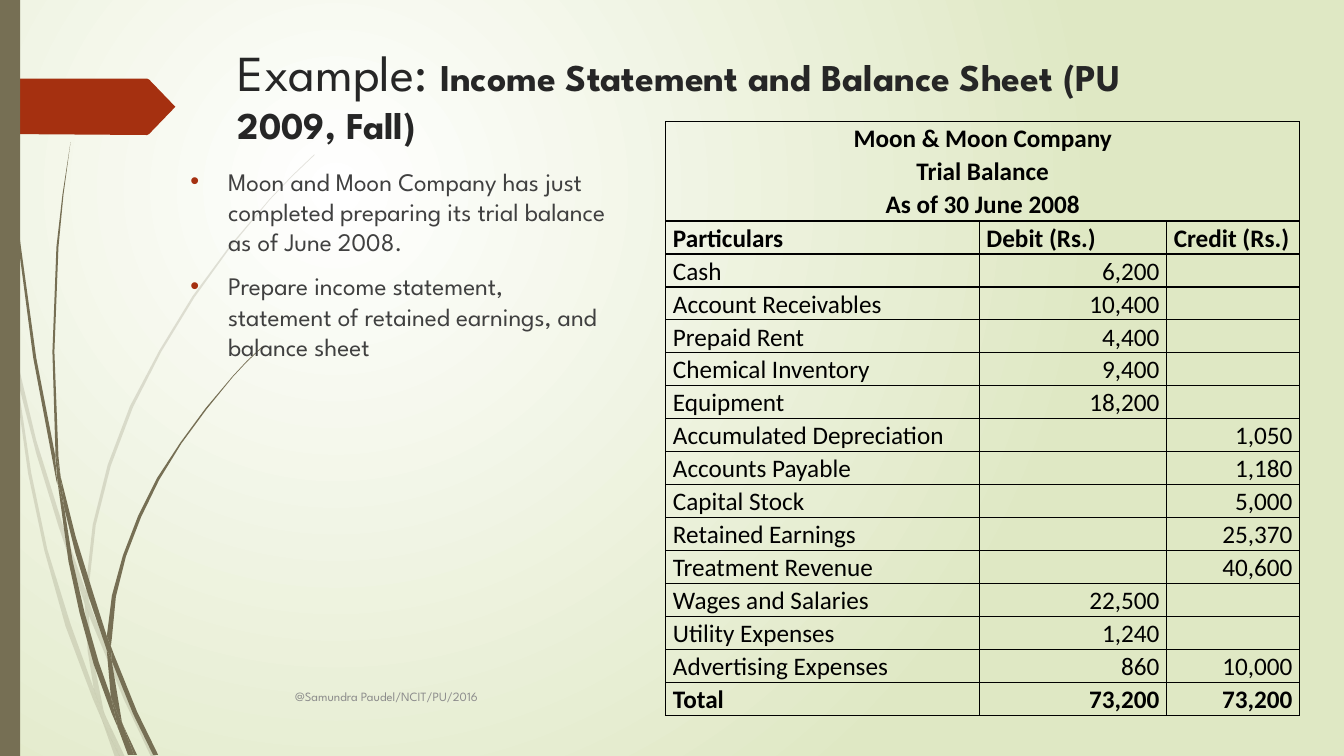
"""Build the trial balance example slide with its wisp decoration."""
from lxml.etree import SubElement
from pptx import Presentation
from pptx.dml.color import RGBColor
from pptx.enum.shapes import MSO_SHAPE as Preset
from pptx.enum.text import MSO_ANCHOR as Anchor, PP_ALIGN as Align
from pptx.oxml import parse_xml
from pptx.oxml.ns import nsdecls, qn
from pptx.util import Cm, Pt

HEADING_FONT, TABLE_FONT = "League Spartan", "Calibri"
OLIVE, RUST, BLACK = "766F54", "A53010", "000000"
OUTLINE_UNIT = Cm(0.0254)


def color(hex_string):
    return RGBColor.from_string(hex_string)


deck = Presentation()
deck.slide_width, deck.slide_height = Cm(33.87), Cm(19.05)
slide = deck.slides.add_slide(deck.slide_layouts[6])
shapes = slide.shapes

backdrop = slide.background.fill
backdrop.gradient()
for stop, position, shade in zip(backdrop.gradient_stops, (0, 1), ("FFFFFF", "DFE8C4")):
    stop.position = position
    stop.color.rgb = color(shade)
gradient = slide.element.find(".//" + qn("a:gradFill"))
gradient.remove(gradient.find(qn("a:lin")))
gradient.append(parse_xml(
    f'<a:path {nsdecls("a")} path="circle">'
    '<a:fillToRect l="50000" t="50000" r="100000" b="100000"/></a:path>'))

pale_wisps = [
    [(11, 350), (9, 322), (0, 282), (0, 299), (10, 344)],
    [(58, 522), (84, 599), (85, 586), (62, 520), (36, 437), (14, 345), (17, 376), (36, 450)],
    [(92, 607), (88, 596), (88, 610), (123, 694), (150, 751), (155, 751), (127, 692)],
    [(119, 751), (124, 751), (105, 711)],
    [(93, 683), (70, 619), (47, 545), (31, 469), (17, 376), (11, 350), (28, 470),
     (44, 546), (65, 621), (92, 693), (101, 714), (99, 707)],
    [(84, 599), (87, 646), (93, 683), (96, 692), (105, 711), (103, 706), (91, 646),
     (88, 610), (88, 608)],
    [(88, 584), (95, 521), (110, 462), (132, 404), (160, 349), (193, 295), (229, 245),
     (268, 198), (290, 175), (312, 154), (312, 153), (289, 175), (268, 197), (228, 244),
     (191, 294), (158, 348), (129, 403), (107, 461), (92, 521), (85, 584), (85, 586),
     (88, 596)],
    [(101, 714), (114, 751), (119, 751)],
    [(88, 608), (88, 610), (88, 596), (85, 586), (84, 599)],
    [(96, 692), (93, 683), (99, 707), (101, 714), (119, 751), (105, 711)],
]
dark_wisps = [
    [(7, 110), (17, 233), (33, 355), (56, 477), (57, 481), (55, 457), (55, 453),
     (36, 355), (19, 232), (8, 109), (5, 48), (4, 0), (3, 0), (4, 48)],
    [(88, 592), (106, 645), (106, 631), (93, 590), (75, 532), (60, 472), (64, 505), (75, 549)],
    [(113, 649), (110, 641), (111, 656), (132, 708), (152, 749), (157, 749), (136, 706)],
    [(110, 691), (98, 657), (84, 608), (72, 556), (64, 505), (57, 477), (68, 557),
     (79, 608), (93, 659), (111, 708), (117, 722), (116, 717)],
    [(60, 472), (58, 453), (54, 349), (58, 245), (63, 193), (70, 141), (62, 193),
     (56, 245), (52, 349), (55, 449)],
    [(133, 749), (136, 749), (122, 719)],
    [(57, 477), (64, 505), (60, 472), (55, 449), (55, 453)],
    [(111, 633), (115, 592), (125, 552), (140, 513), (158, 476), (180, 440), (205, 406),
     (231, 374), (245, 359), (261, 344), (260, 344), (245, 358), (231, 373), (204, 405),
     (179, 439), (156, 474), (137, 512), (122, 551), (111, 591), (106, 631), (110, 641)],
    [(117, 722), (127, 749), (131, 749)],
    [(106, 645), (110, 691), (116, 706), (122, 719), (121, 716), (111, 656), (109, 651)],
    [(106, 645), (109, 651), (111, 656), (110, 641), (106, 631)],
    [(116, 706), (110, 691), (116, 717), (117, 722), (130, 749), (133, 749), (122, 719)],
]
marker = [(174, 106), (148, 133), (146, 134), (0, 133), (0, 78), (146, 78), (148, 79)]
for outlines, shade, opacity in ((pale_wisps, OLIVE, 20000), (dark_wisps, OLIVE, 100000),
                                 ([marker], RUST, 100000)):
    for outline in outlines:
        builder = shapes.build_freeform(*outline[0], scale=OUTLINE_UNIT)
        builder.add_line_segments(outline[1:], close=True)
        piece = builder.convert_to_shape()
        piece.shadow.inherit = False
        piece.line.fill.background()
        piece.fill.solid()
        piece.fill.fore_color.rgb = color(shade)
        if opacity < 100000:
            tint = piece.element.spPr.find(".//" + qn("a:srgbClr"))
            SubElement(tint, qn("a:alpha"), val=str(opacity))

side_bar = shapes.add_shape(Preset.RECTANGLE, 0, 0, Cm(0.51), deck.slide_height)
side_bar.shadow.inherit = False
side_bar.line.fill.background()
side_bar.fill.solid()
side_bar.fill.fore_color.rgb = color(OLIVE)

texts = [
    ((5.74, 0.91, 24.77, 3.56), Anchor.TOP, "262626", False,
     [[("Example: ", 36, False),
       ("Income Statement and Balance Sheet (PU 2009, Fall)", 27, True)]]),
    ((4.55, 4.06, 11.05, 14), Anchor.TOP, "404040", True,
     [[("Moon and Moon Company has just completed preparing its trial balance "
        "as of June 2008.", 18, False)],
      [("Prepare income statement, statement of retained earnings, and balance sheet",
        18, False)]]),
    ((7.19, 17.04, 21.16, 1.02), Anchor.MIDDLE, "8C8C8C", False,
     [[("@Samundra Paudel/NCIT/PU/2016", 9, False)]]),
]
for bounds, anchor, shade, bulleted, paragraphs in texts:
    box = shapes.add_textbox(*map(Cm, bounds))
    frame = box.text_frame
    frame.word_wrap = True
    frame.vertical_anchor = anchor
    for index, spans in enumerate(paragraphs):
        para = frame.add_paragraph() if index else frame.paragraphs[0]
        for words, size, bold in spans:
            span = para.add_run()
            span.text = words
            span.font.name = HEADING_FONT
            span.font.size = Pt(size)
            span.font.bold = bold
            span.font.color.rgb = color(shade)
        if bulleted:
            para.space_before = Pt(10)
            settings = para._p.get_or_add_pPr()
            settings.set("marL", str(Cm(0.95)))
            settings.set("indent", str(-Cm(0.95)))
            bullet_color = SubElement(settings, qn("a:buClr"))
            SubElement(bullet_color, qn("a:srgbClr"), val=RUST)
            SubElement(settings, qn("a:buFont"), typeface="Arial")
            SubElement(settings, qn("a:buChar"), char="•")

balance = [
    ("Moon & Moon Company\nTrial Balance\nAs of 30 June 2008", "", ""),
    ("Particulars", "Debit (Rs.)", "Credit (Rs.)"),
    ("Cash", "6,200", ""),
    ("Account Receivables", "10,400", ""),
    ("Prepaid Rent", "4,400", ""),
    ("Chemical Inventory", "9,400", ""),
    ("Equipment", "18,200", ""),
    ("Accumulated Depreciation", "", "1,050"),
    ("Accounts Payable", "", "1,180"),
    ("Capital Stock", "", "5,000"),
    ("Retained Earnings", "", "25,370"),
    ("Treatment Revenue", "", "40,600"),
    ("Wages and Salaries", "22,500", ""),
    ("Utility Expenses", "1,240", ""),
    ("Advertising Expenses", "860", "10,000"),
    ("Total", "73,200", "73,200"),
]
heading_height, row_height = Cm(2.5), Cm(0.83)
table = shapes.add_table(len(balance), 3, Cm(16.78), Cm(3.07), Cm(15.97),
                         heading_height + row_height * (len(balance) - 1)).table
table.first_row = table.horz_banding = False
for column, width in zip(table.columns, (7.9, 4.72, 3.35)):
    column.width = Cm(width)
table.cell(0, 0).merge(table.cell(0, 2))
for r, entries in enumerate(balance):
    table.rows[r].height = row_height if r else heading_height
    for c, entry in enumerate(entries):
        cell = table.cell(r, c)
        cell.text_frame.text = entry
        cell.margin_left = cell.margin_right = Cm(0.18)
        cell.margin_top = cell.margin_bottom = 0
        for para in cell.text_frame.paragraphs:
            para.line_spacing = 1.07
            if r == 0:
                para.alignment = Align.CENTER
            elif r > 1 and c > 0:
                para.alignment = Align.RIGHT
            for span in para.runs:
                span.font.name = TABLE_FONT
                span.font.size = Pt(18)
                span.font.bold = r in (0, 1, len(balance) - 1)
                span.font.color.rgb = color(BLACK)
        for side in ("lnL", "lnR", "lnT", "lnB"):
            border = SubElement(cell._tc.get_or_add_tcPr(), qn("a:" + side), w=str(Pt(1)))
            SubElement(SubElement(border, qn("a:solidFill")), qn("a:srgbClr"), val=BLACK)
        cell.fill.background()

deck.save("out.pptx")
